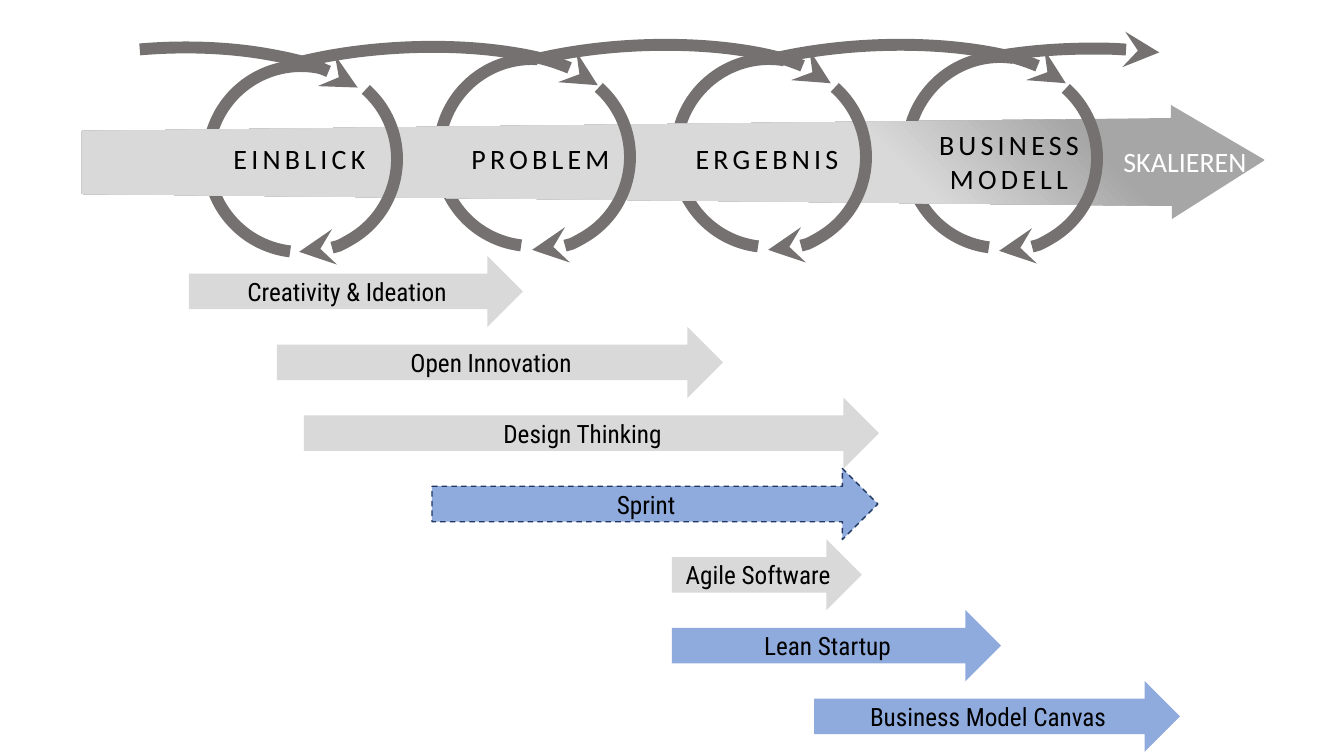
from collections import namedtuple
from dataclasses import dataclass

from lxml import etree
from pptx import Presentation
from pptx.dml.color import RGBColor
from pptx.enum.dml import MSO_LINE
from pptx.enum.shapes import MSO_SHAPE as SHAPE
from pptx.enum.text import MSO_ANCHOR as ANCHOR, PP_ALIGN as ALIGN
from pptx.oxml.ns import qn
from pptx.util import Pt

PX = 914400 / 100.8
Box = namedtuple("Box", "left top width height")


@dataclass(frozen=True)
class Theme:
    """Colours, fonts and sizes of the slide."""
    black: str = "000000"
    white: str = "FFFFFF"
    light: str = "D9D9D9"
    mid: str = "A6A6A6"
    stroke: str = "767171"
    blue: str = "8FAADC"
    navy: str = "203864"
    stage_font: str = "Calibri"
    method_font: str = "Roboto Condensed"
    stage_size: int = 20
    method_size: int = 18
    stroke_width: float = 8.5


THEME = Theme()


def emu(*pixels):
    """Turn pixel lengths into EMU."""
    return [round(v * PX) for v in pixels]


def inside(box, left, top, width, height):
    """Give the EMU frame of a part placed relative to a box."""
    return emu(box.left + left, box.top + top, width, height)


def write(tf, lines, font, size, color, spacing=0):
    """Write centred lines into a text frame."""
    for i, line in enumerate(lines):
        p = tf.add_paragraph() if i else tf.paragraphs[0]
        p.alignment = ALIGN.CENTER
        r = p.add_run()
        r.text = line
        for key, value in {"name": font, "size": Pt(size)}.items():
            setattr(r.font, key, value)
        r.font.color.rgb = RGBColor.from_string(color)
        if spacing:
            r.font._element.set("spc", str(spacing * 100))


def add_arc(slide, frame, start, end, rotation=0, arrow=False):
    """Add a thick open arc, with an arrowhead at its end if asked."""
    sp = slide.shapes.add_shape(SHAPE.ARC, *frame)
    sp.shadow.inherit = False
    sp.rotation = rotation
    sp.adjustments[0], sp.adjustments[1] = start, end
    sp.fill.background()
    sp.line.color.rgb = RGBColor.from_string(THEME.stroke)
    sp.line.width = Pt(THEME.stroke_width)
    if arrow:
        ln = sp.line._get_or_add_ln()
        etree.SubElement(ln, qn("a:tailEnd"), type="stealth")


def add_band(slide, box):
    """Draw the widening band that ends in an arrowhead."""
    builder = slide.shapes.build_freeform(0, 91, scale=PX)
    builder.add_line_segments([(0, 154), (1090, 166), (1090, 179), (1183, 120),
                               (1089, 65), (1089, 78)], close=True)
    sp = builder.convert_to_shape(*emu(box.left, box.top))
    sp.shadow.inherit = False
    sp.line.fill.background()
    sp.fill.gradient()
    stops = ((0.67, THEME.light), (0.84, THEME.mid))
    for stop, (position, color) in zip(sp.fill.gradient_stops, stops):
        stop.position = position
        stop.color.rgb = RGBColor.from_string(color)
    grad = sp._element.spPr.find(qn("a:gradFill"))
    grad.remove(grad.find(qn("a:lin")))
    shade = etree.SubElement(grad, qn("a:path"), path="circle")
    etree.SubElement(shade, qn("a:fillToRect"), t="100000", r="100000")


def add_stages(slide, box):
    """Draw the stage band with its loops, waves and labels."""
    returns = [(126, 26, 186, 62.41), (357, 19, 187, 55.98),
               (594, 19, 188, 59.61), (825, 17, 191, 58.68)]
    loops = [(129, 26), (362, 24), (598, 24), (829, 25)]
    waves = [((-7, -123, 176, 438), 208.74, 47.35, 267.1),
             ((257, -128, 133, 404), 177.21, 50.63, 267.1),
             ((490, -130, 133, 404), 181.05, 50.63, 267.1),
             ((725, -130, 133, 404), 180.48, 50.63, 267.1),
             ((943, -127, 133, 404), 181.95, 28.37, 270)]
    labels = [((139, 97, 157, 44), ["EINBLICK"], THEME.black, 3),
              ((377, 97, 163, 44), ["PROBLEM"], THEME.black, 3),
              ((601, 97, 168, 44), ["ERGEBNIS"], THEME.black, 3),
              ((844, 83, 166, 78), ["BUSINESS", "MODELL"], THEME.black, 3),
              ((1031, 100, 144, 44), ["SKALIEREN"], THEME.white, 0)]

    for left, top, height, end in returns:
        add_arc(slide, inside(box, left, top, 186, height), 166.01, end, 180)
    add_band(slide, box)
    for frame, lines, color, spacing in labels:
        tf = slide.shapes.add_textbox(*inside(box, *frame)).text_frame
        tf.word_wrap = False
        write(tf, lines, THEME.stage_font, THEME.stage_size, color, spacing)
    for left, top in loops:
        add_arc(slide, inside(box, left, top, 186, 186), 186.98, 55.8, arrow=True)
    for frame, start, end, rotation in waves:
        add_arc(slide, inside(box, *frame), start, end, rotation, arrow=True)


def add_methods(slide, box):
    """Draw one labelled arrow per method, in evenly spaced rows."""
    methods = [("Creativity & Ideation", 0, 334, THEME.light),
               ("Open Innovation", 88, 446, THEME.light),
               ("Design Thinking", 115, 575, THEME.light),
               ("Sprint", 243, 446, THEME.blue),
               ("Agile Software", 483, 190, THEME.light),
               ("Lean Startup", 483, 329, THEME.blue),
               ("Business Model Canvas", 625, 366, THEME.blue)]
    height = 71
    pitch = (box.height - height) / (len(methods) - 1)
    for i, (name, left, width, color) in enumerate(methods):
        frame = inside(box, left, i * pitch, width, height)
        sp = slide.shapes.add_shape(SHAPE.RIGHT_ARROW, *frame)
        sp.shadow.inherit = False
        sp.fill.solid()
        sp.fill.fore_color.rgb = RGBColor.from_string(color)
        if name == "Sprint":
            sp.line.color.rgb = RGBColor.from_string(THEME.navy)
            sp.line.width = Pt(1)
            sp.line.dash_style = MSO_LINE.DASH
        else:
            sp.line.fill.background()
        tf = sp.text_frame
        for key, value in {"word_wrap": True, "vertical_anchor": ANCHOR.MIDDLE}.items():
            setattr(tf, key, value)
        write(tf, [name], THEME.method_font, THEME.method_size, THEME.black)


def main():
    """Build the slide and save it."""
    prs = Presentation()
    prs.slide_width, prs.slide_height = emu(1344, 756)
    slide = prs.slides.add_slide(prs.slide_layouts[6])
    add_stages(slide, Box(82, 40, 1183, 225))
    add_methods(slide, Box(189, 256, 991, 496))
    prs.save("out.pptx")


main()
